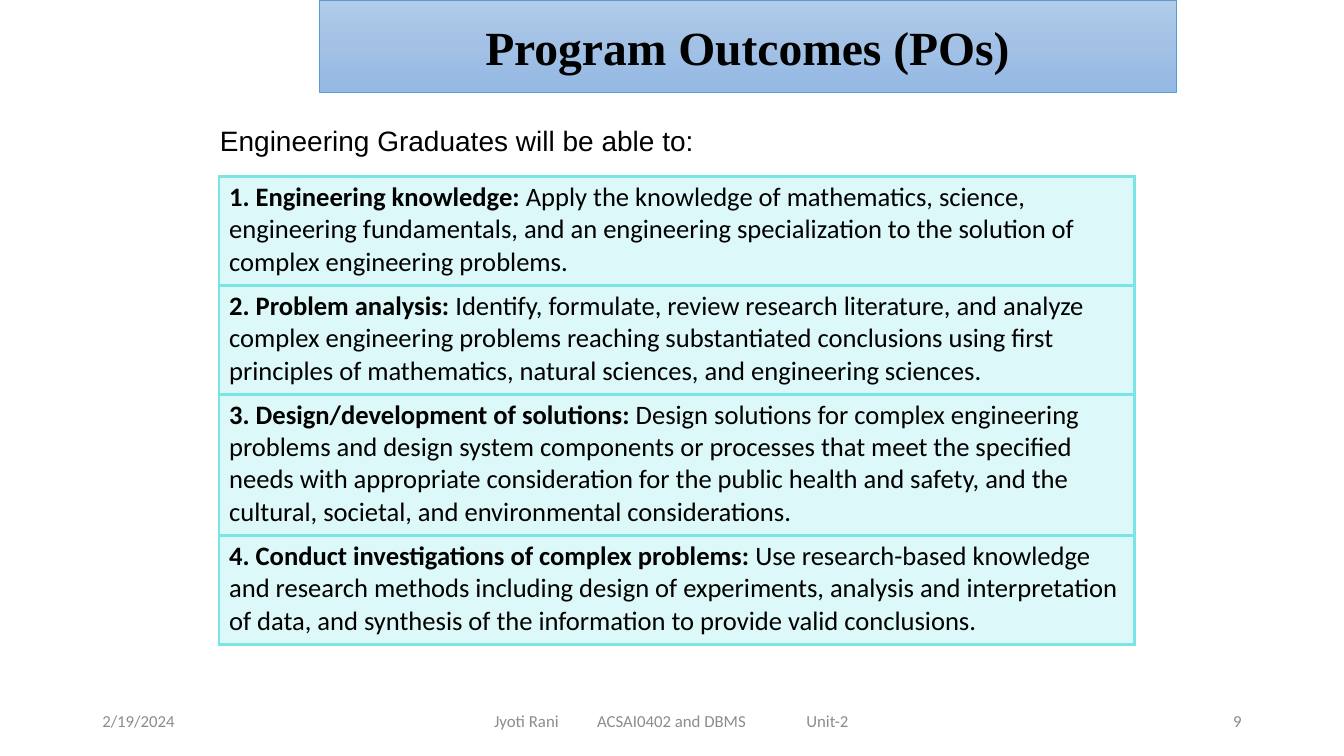
"""Build the Program Outcomes slide."""
from copy import deepcopy

from lxml import etree
from pptx import Presentation
from pptx.dml.color import RGBColor
from pptx.enum.text import MSO_ANCHOR, MSO_AUTO_SIZE, PP_ALIGN
from pptx.oxml.ns import qn
from pptx.util import Pt

LEFT, MID, RIGHT = PP_ALIGN.LEFT, PP_ALIGN.CENTER, PP_ALIGN.RIGHT
TOP, CENTER = MSO_ANCHOR.TOP, MSO_ANCHOR.MIDDLE
FIXED, GROW = MSO_AUTO_SIZE.NONE, MSO_AUTO_SIZE.SHAPE_TO_FIT_TEXT

BLACK = RGBColor(0, 0, 0)
GREY = RGBColor(0x8C, 0x8C, 0x8C)
SLATE = RGBColor(0x89, 0x89, 0x89)
AQUA = RGBColor(0x7B, 0xE5, 0xE5)
BLUE = RGBColor(0x5B, 0x9B, 0xD5)
SHADES = (RGBColor(0xB1, 0xCB, 0xE9), RGBColor(0xA3, 0xC1, 0xE5),
          RGBColor(0x93, 0xB9, 0xE4))

GOALS = [
    ("1. Engineering knowledge:",
     "Apply the knowledge of mathematics, science, engineering fundamentals, "
     "and an engineering specialization to the solution of complex "
     "engineering problems.", 77.8),
    ("2. Problem analysis:",
     "Identify, formulate, review research literature, and analyze complex "
     "engineering problems reaching substantiated conclusions using first "
     "principles of mathematics, natural sciences, and engineering sciences.",
     77.8),
    ("3. Design/development of solutions:",
     "Design solutions for complex engineering problems and design system "
     "components or processes that meet the specified needs with appropriate "
     "consideration for the public health and safety, and the cultural, "
     "societal, and environmental considerations.", 100.8),
    ("4. Conduct investigations of complex problems:",
     "Use research-based knowledge and research methods including design of "
     "experiments, analysis and interpretation of data, and synthesis of the "
     "information to provide valid conclusions.", 77.8),
]


def write(para, text, font="Calibri", size=12, color=BLACK, bold=False,
          align=LEFT):
    para.alignment = align
    run = para.add_run()
    run.text = text
    run.font.name = font
    run.font.size = Pt(size)
    run.font.bold = bold
    run.font.color.rgb = color


class Deck:
    def __init__(self, width, height):
        self.prs = Presentation()
        self.prs.slide_width, self.prs.slide_height = Pt(width), Pt(height)
        self.slide = self.prs.slides.add_slide(self.prs.slide_layouts[5])

    def title(self, text, x, y, w, h):
        box = self.slide.shapes.title
        box.left, box.top, box.width, box.height = map(Pt, (x, y, w, h))
        box.fill.gradient()
        box.fill.gradient_angle = 270
        first = box.fill._fill._gradFill.gsLst[0]
        first.addnext(deepcopy(first))
        for num, (stop, shade) in enumerate(
                zip(box.fill.gradient_stops, SHADES)):
            stop.position = num / 2
            stop.color.rgb = shade
        box.line.color.rgb = BLUE
        box.line.width = Pt(0.5)
        frame = box.text_frame
        frame.auto_size = FIXED
        frame.vertical_anchor = CENTER
        write(frame.paragraphs[0], text, font="Times New Roman", size=34,
              bold=True, align=MID)

    def label(self, text, x, y, w, h, anchor=CENTER, wrap=True, fit=FIXED,
              inset=7.2, tabs=(), **style):
        box = self.slide.shapes.add_textbox(Pt(x), Pt(y), Pt(w), Pt(h))
        frame = box.text_frame
        frame.word_wrap = wrap
        frame.auto_size = fit
        frame.vertical_anchor = anchor
        frame.margin_left = Pt(inset)
        para = frame.paragraphs[0]
        if tabs:
            stops = etree.SubElement(para._p.get_or_add_pPr(), qn("a:tabLst"))
            for pos in tabs:
                etree.SubElement(stops, qn("a:tab"), pos=str(Pt(pos)),
                                 algn="l")
        write(para, text, **style)

    def table(self, rows, x, y, w):
        total = sum(row[2] for row in rows)
        grid = self.slide.shapes.add_table(
            len(rows), 1, Pt(x), Pt(y), Pt(w), Pt(total)).table
        grid.first_row = grid.horz_banding = False
        for num, (head, body, high) in enumerate(rows):
            grid.rows[num].height = Pt(high)
            cell = grid.cell(num, 0)
            para = cell.text_frame.paragraphs[0]
            write(para, head + " ", size=19, bold=True)
            write(para, body, size=19)
            self.tint(cell)

    def tint(self, cell):
        cell.fill.solid()
        cell.fill.fore_color.rgb = AQUA
        props = cell._tc.tcPr
        tone = props.find(".//" + qn("a:srgbClr"))
        etree.SubElement(tone, qn("a:alpha"), val="25000")
        for spot, side in enumerate("LRTB"):
            line = etree.Element(qn("a:ln" + side), w=str(Pt(2.25)))
            fill = etree.SubElement(line, qn("a:solidFill"))
            etree.SubElement(fill, qn("a:srgbClr"), val=str(AQUA))
            props.insert(spot, line)


def main():
    deck = Deck(960, 540)
    deck.title("Program Outcomes (POs)", 228, 0, 612, 66)
    deck.label("Engineering Graduates will be able to:", 150, 84.5, 356, 31.5,
               anchor=TOP, wrap=False, fit=GROW, font="Arial", size=20)
    deck.table(GOALS, 156.5, 126, 654)
    foot, high = 500.5, 28.75
    deck.label("2/19/2024", 66, foot, 216, high, color=GREY)
    deck.label("Jyoti Rani\tACSAI0402 and DBMS\tUnit-2", 318, foot, 324, high,
               inset=35, tabs=(73.5, 223), color=GREY)
    deck.label("9", 678, foot, 216, high, color=SLATE, align=RIGHT)
    deck.prs.save("out.pptx")


if __name__ == "__main__":
    main()
